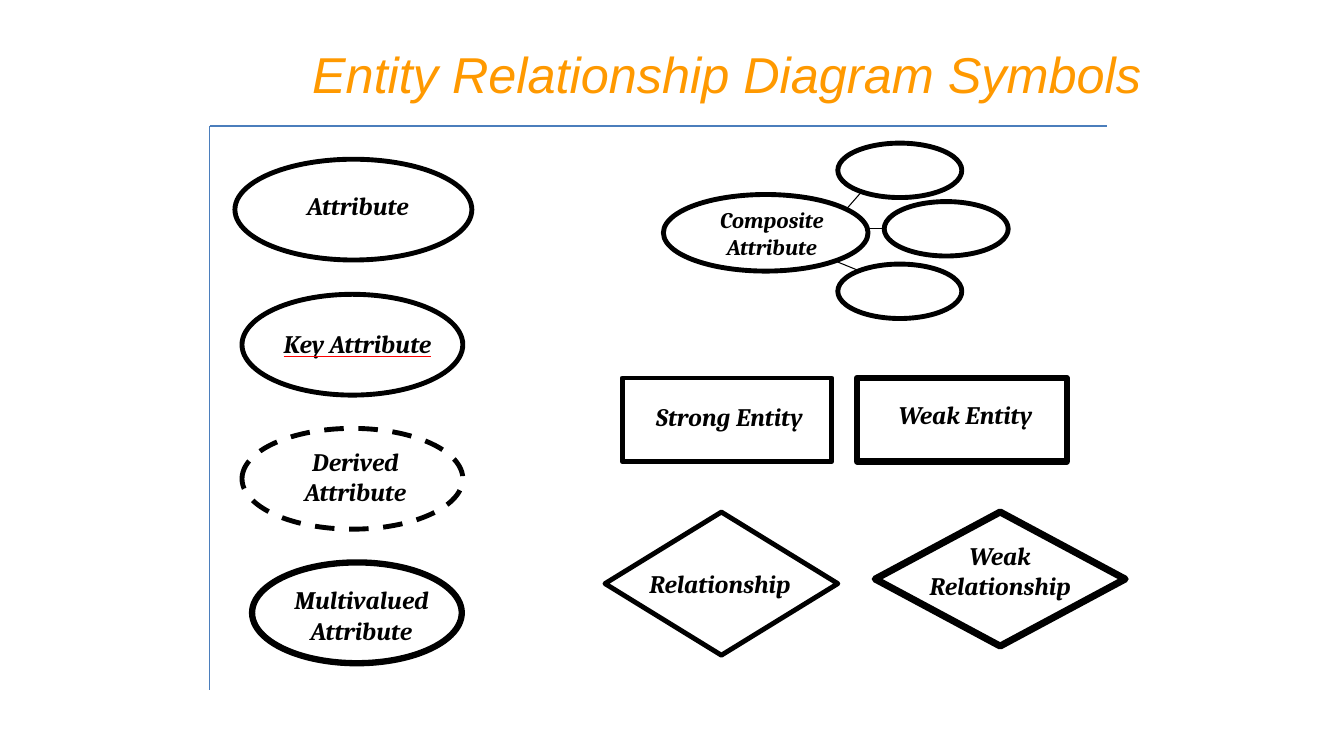
"""Slide of entity relationship diagram symbols."""
from lxml import etree
from pptx import Presentation, util as u
from pptx.dml.color import RGBColor
from pptx.enum import dml, shapes, text
from pptx.oxml import parse_xml
from pptx.oxml.ns import qn

NS = "http://schemas.openxmlformats.org/drawingml/2006/main"


def paint(fmt, tint):
    if hasattr(fmt, "solid"):
        fmt.solid()
        fmt = fmt.fore_color
    fmt.rgb = RGBColor.from_string(tint)


def write(box, words, size, face, tint, align, bold):
    area = slide.shapes.add_textbox(*[u.Inches(n) for n in box])
    frame = area.text_frame
    frame.word_wrap = True
    para = frame.paragraphs[0]
    para.alignment = align
    run = para.add_run()
    run.text = words
    run.font.size = u.Pt(size)
    run.font.name = face
    run.font.bold = bold
    run.font.italic = True
    paint(run.font.color, tint)
    return run


deck = Presentation()
deck.slide_width, deck.slide_height = u.Inches(13.33), u.Inches(7.5)
slide = deck.slides.add_slide(deck.slide_layouts[6])

write((1.92, 0.38, 9.5, 0.71), "Entity Relationship Diagram Symbols",
      36, "Arial", "FF9900", text.PP_ALIGN.RIGHT, False)

kinds = shapes.MSO_SHAPE
oval, rect, gem = kinds.OVAL, kinds.RECTANGLE, kinds.FLOWCHART_DECISION
symbols = [
    (oval, (2.33, 1.58, 2.35, 1), 3.5),
    (oval, (2.4, 2.92, 2.19, 1), 3.5),
    (oval, (2.4, 4.25, 2.19, 1), 3.5),
    (oval, (2.5, 5.58, 2.08, 1), 4.5),
    (oval, (6.58, 1.93, 2.03, 0.76), 3.5),
    (oval, (8.77, 2, 1.23, 0.54), 3.5),
    (oval, (8.31, 1.42, 1.23, 0.54), 3.5),
    (oval, (8.31, 2.62, 1.23, 0.54), 3.5),
    (rect, (6.17, 3.75, 2.08, 0.83), 3.5),
    (rect, (8.5, 3.75, 2.08, 0.83), 4.5),
    (gem, (6, 5.08, 2.31, 1.42), 3.5),
    (gem, (8.68, 5.08, 2.48, 1.33), 5),
]
drawn = []
for kind, box, width in symbols:
    shape = slide.shapes.add_shape(kind, *[u.Inches(n) for n in box])
    shape.shadow.inherit = False
    paint(shape.fill, "FFFFFF")
    paint(shape.line.fill, "000000")
    shape.line.width = u.Pt(width)
    drawn.append(shape)
drawn[2].line.dash_style = dml.MSO_LINE.DASH

labels = [
    ("Attribute", (2.77, 1.84, 1.56, 0.4), 18),
    ("Key Attribute", (2.64, 3.21, 1.81, 0.4), 18),
    ("Derived Attribute", (2.8, 4.38, 1.45, 0.71), 18),
    ("Multivalued Attribute", (2.79, 5.75, 1.59, 0.71), 18),
    ("Composite Attribute", (6.98, 2, 1.35, 0.64), 16),
    ("Strong Entity", (6.3, 3.93, 1.87, 0.4), 18),
    ("Weak Entity", (8.73, 3.91, 1.69, 0.4), 18),
    ("Relationship", (6.13, 5.59, 2.02, 0.35), 18),
    ("Weak Relationship", (8.86, 5.31, 2.12, 0.61), 18),
]
for words, box, size in labels:
    run = write(box, words, size, "Cambria", "000000", text.PP_ALIGN.CENTER, True)
    if words == "Key Attribute":
        run.font.underline = True
        under = parse_xml(f'<a:uFill xmlns:a="{NS}"><a:solidFill>'
                          '<a:srgbClr val="FF0000"/></a:solidFill></a:uFill>')
        run.font._element.find(qn("a:latin")).addprevious(under)

lines = [
    ((8.39, 2.08, 8.53, 1.92), "000000", 0.75),
    ((8.6, 2.27, 8.75, 2.27), "000000", 0.75),
    ((8.53, 2.69, 8.31, 2.6), "000000", 0.75),
    ((2.08, 1.25, 2.08, 6.85), "4B7EBC", 1),
    ((2.08, 1.25, 10.98, 1.25), "4B7EBC", 1),
]
for ends, tint, width in lines:
    line = slide.shapes.add_connector(shapes.MSO_CONNECTOR.STRAIGHT,
                                      *[u.Inches(n) for n in ends])
    paint(line.line.fill, tint)
    line.line.width = u.Pt(width)
    etree.SubElement(line._element.spPr, qn("a:effectLst"))

deck.save("out.pptx")
